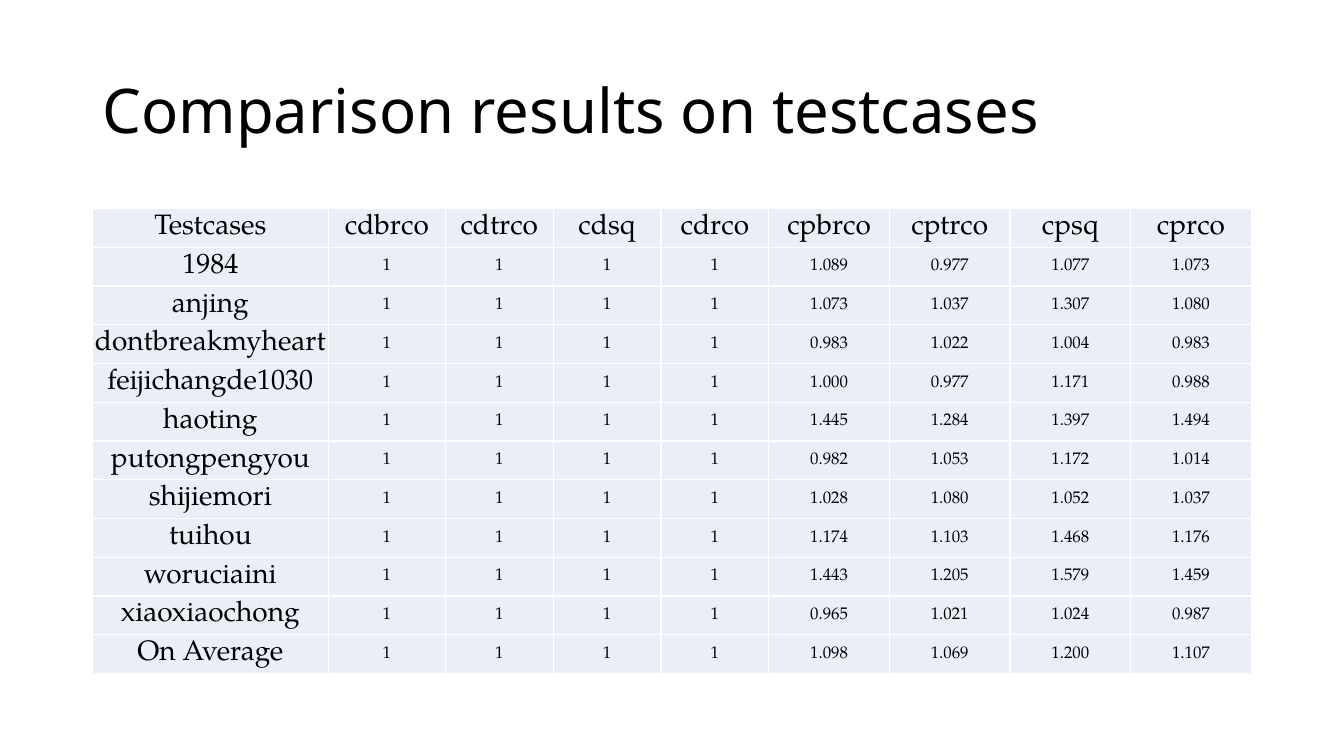
from lxml import etree
from pptx import Presentation
from pptx.dml.color import RGBColor
from pptx.enum.text import MSO_ANCHOR, PP_ALIGN
from pptx.oxml.ns import qn
from pptx.util import Pt

MIDDLE = MSO_ANCHOR.MIDDLE
CENTER = PP_ALIGN.CENTER

BLACK = RGBColor(0x00, 0x00, 0x00)
WHITE = RGBColor(0xFF, 0xFF, 0xFF)
PALE_BLUE = RGBColor(0xEA, 0xEF, 0xF7)

TITLE_FONT = "Noto Sans"
TABLE_FONT = "TeX Gyre Pagella"

# Boxes as left, top, width, height in points
TITLE_BOX = (66, 29, 828, 104.4)
TABLE_BOX = (66, 149, 828, 332)
COLUMN_SHARES = [168.6, 83.6] + [77] * 3 + [86.2] * 4

HEADERS = ["Testcases", "cdbrco", "cdtrco", "cdsq", "cdrco",
           "cpbrco", "cptrco", "cpsq", "cprco"]
BASELINE = ["1"] * 4  # the four cd columns are the reference
RESULTS = {
    "1984": ["1.089", "0.977", "1.077", "1.073"],
    "anjing": ["1.073", "1.037", "1.307", "1.080"],
    "dontbreakmyheart": ["0.983", "1.022", "1.004", "0.983"],
    "feijichangde1030": ["1.000", "0.977", "1.171", "0.988"],
    "haoting": ["1.445", "1.284", "1.397", "1.494"],
    "putongpengyou": ["0.982", "1.053", "1.172", "1.014"],
    "shijiemori": ["1.028", "1.080", "1.052", "1.037"],
    "tuihou": ["1.174", "1.103", "1.468", "1.176"],
    "woruciaini": ["1.443", "1.205", "1.579", "1.459"],
    "xiaoxiaochong": ["0.965", "1.021", "1.024", "0.987"],
    "On Average": ["1.098", "1.069", "1.200", "1.107"],
}


def style_text(para, font_name, size):
    for span in para.runs:
        span.font.name = font_name
        span.font.size = Pt(size)
        span.font.color.rgb = BLACK


def add_title(page, box, text):
    frame = page.shapes.add_textbox(*map(Pt, box)).text_frame
    frame.word_wrap = True
    frame.vertical_anchor = MIDDLE
    frame.text = text
    para = frame.paragraphs[0]
    para.line_spacing = 0.9
    style_text(para, TITLE_FONT, 44)


def add_borders(cell, color, width):
    properties = cell._tc.get_or_add_tcPr()
    # Border lines must come before the fill
    for index, side in enumerate(("lnL", "lnR", "lnT", "lnB")):
        line = etree.Element(qn("a:" + side), w=str(Pt(width)))
        fill = etree.SubElement(line, qn("a:solidFill"))
        etree.SubElement(fill, qn("a:srgbClr"), val=str(color))
        properties.insert(index, line)


def fill_cell(cell, text, size):
    cell.fill.solid()
    cell.fill.fore_color.rgb = PALE_BLUE
    cell.vertical_anchor = MIDDLE
    cell.margin_left = cell.margin_right = cell.margin_top = Pt(0.7)
    cell.margin_bottom = Pt(0)
    cell.text_frame.text = text
    para = cell.text_frame.paragraphs[0]
    para.alignment = CENTER
    style_text(para, TABLE_FONT, size)
    add_borders(cell, WHITE, 1)


def add_results_table(page, box, rows):
    width, height = box[2:]
    table = page.shapes.add_table(len(rows), len(rows[0]), *map(Pt, box)).table
    table.first_row = False
    table.horz_banding = False
    for column, share in zip(table.columns, COLUMN_SHARES):
        column.width = Pt(width * share / sum(COLUMN_SHARES))
    for row_index, values in enumerate(rows):
        table.rows[row_index].height = Pt(height / len(rows))
        for column_index, text in enumerate(values):
            is_label = row_index == 0 or column_index == 0
            fill_cell(table.cell(row_index, column_index), text,
                      20 if is_label else 12)


def main():
    deck = Presentation()
    deck.slide_width, deck.slide_height = Pt(960), Pt(540)
    page = deck.slides.add_slide(deck.slide_layouts[6])

    # Title
    add_title(page, TITLE_BOX, "Comparison results on testcases")

    # Results by testcase
    rows = [HEADERS] + [[name] + BASELINE + scores
                        for name, scores in RESULTS.items()]
    add_results_table(page, TABLE_BOX, rows)

    deck.save("out.pptx")


if __name__ == "__main__":
    main()
